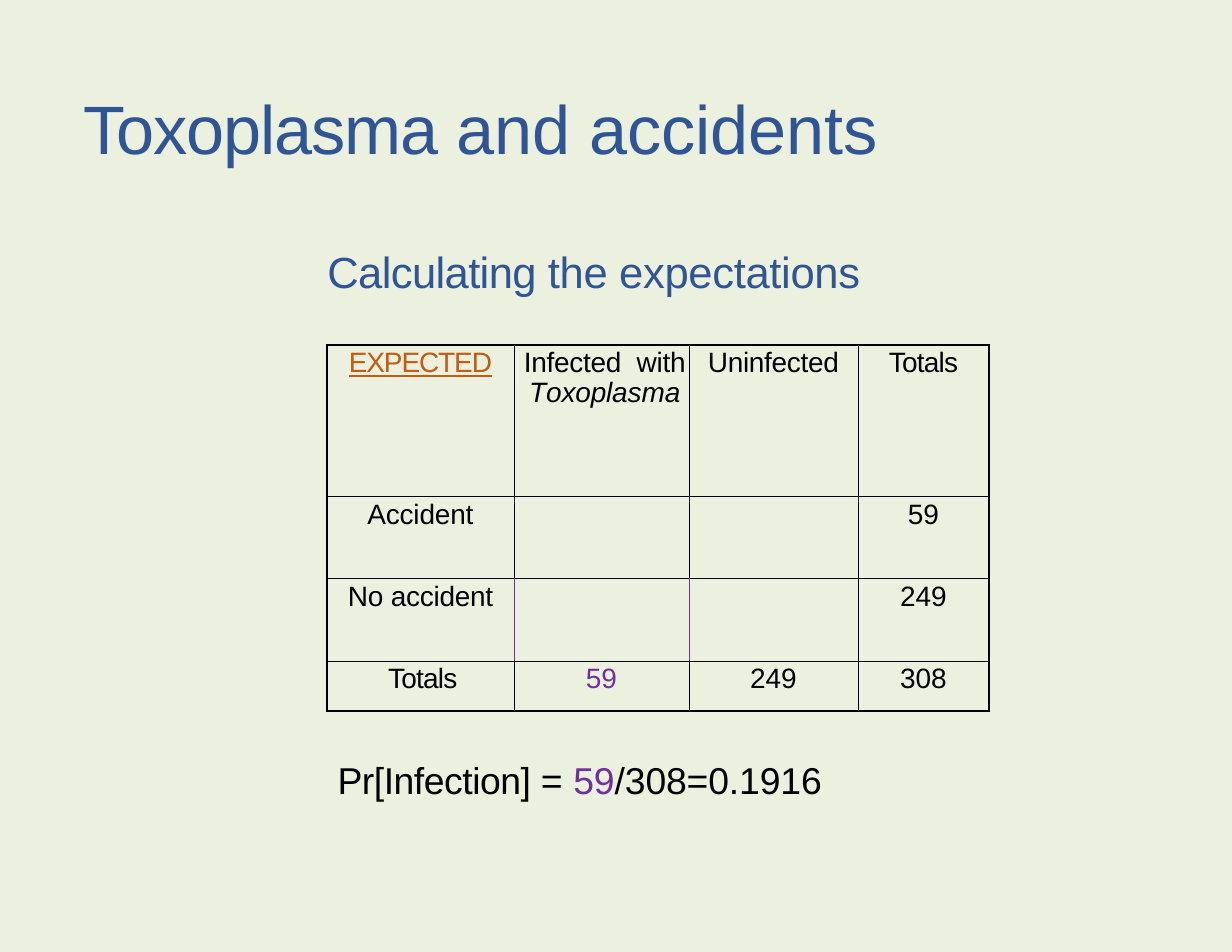
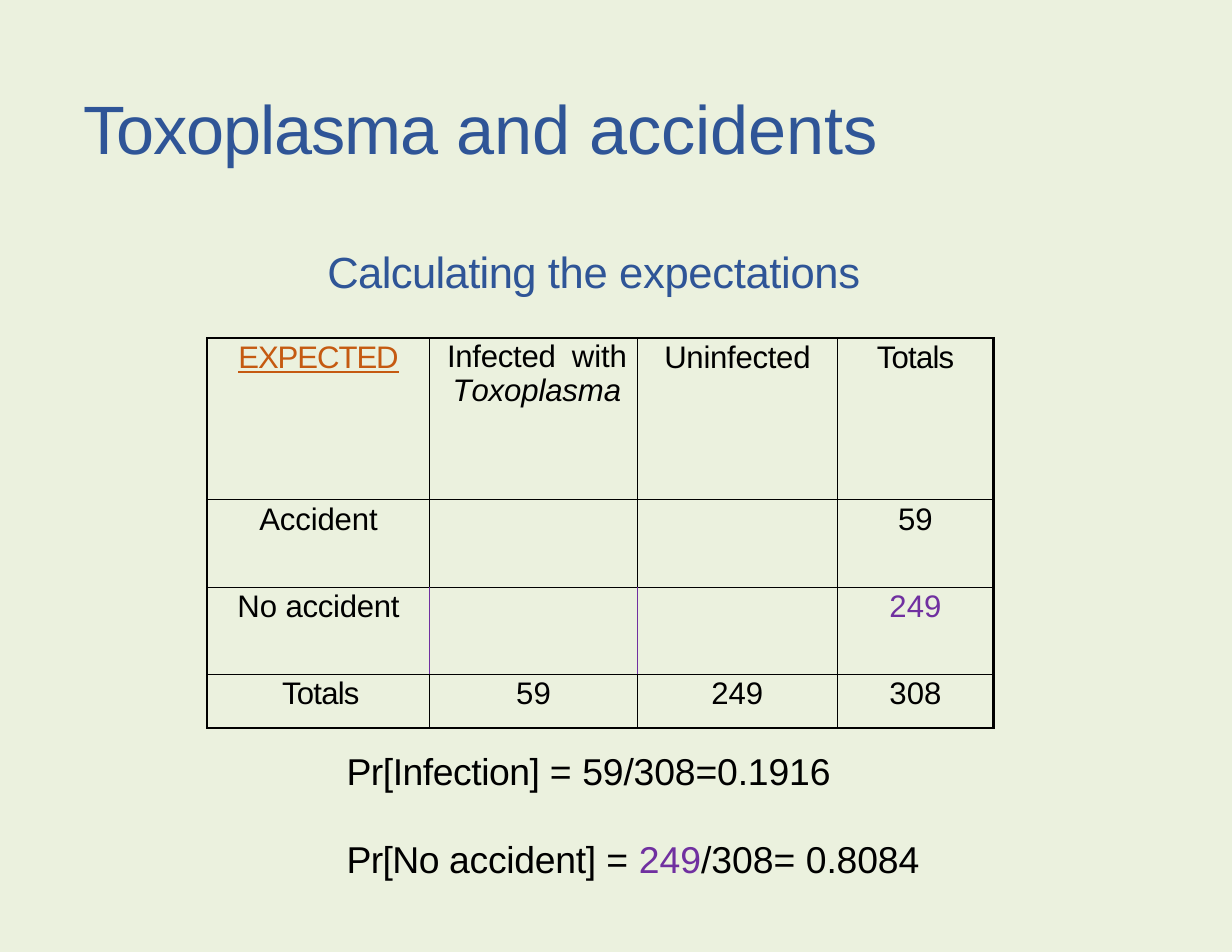
from lxml import etree
from pptx import Presentation
from pptx.dml.color import RGBColor
from pptx.enum import text
from pptx.oxml import ns
from pptx.util import Pt

COLORS = {"bg": "EBF1DE", "ink": "000000", "title": "2F5597",
          "label": "C55A11", "mark": "7030A0"}
FONT = "Arial"
THIN, THICK = 0.5, 1.5
CENTER = text.PP_ALIGN.CENTER

TITLE = [("Toxoplasma ", -0.7), ("and ", -0.2), ("accidents", -0.1)]
SUBTITLE = [("Calculating ", -0.4), ("the expectations", -0.2)]
INFECTED = [("Infected", -0.2), (" ", 4.8), ("with ", -0.1),
            ("T", -1.2, {"italic": True}), ("oxoplas", -0.1, {"italic": True}),
            ("m", -0.2, {"italic": True}), ("a", 0, {"italic": True})]
HEADER = [[("EXPECTED", -0.7, {"color": "label", "underline": True})], INFECTED,
          [("Uninfected", -0.2)], [("Totals", -0.5)]]


def rgb(name):
    """Return the named palette colour."""
    return RGBColor.from_string(COLORS[name])


def add_runs(p, runs, size, color="ink"):
    """Write (text, spacing, format) runs into a paragraph."""
    for words, spacing, *extra in runs:
        r = p.add_run()
        r.text = words
        fmt = {"name": FONT, "size": Pt(size), "color": color, **(extra[0] if extra else {})}
        r.font.color.rgb = rgb(fmt.pop("color"))
        for key, value in fmt.items():
            setattr(r.font, key, value)
        r._r.get_or_add_rPr().set("spc", str(round(spacing * 100)))


def format_paragraph(p, indent=0, **fmt):
    """Set paragraph attributes and the left indent."""
    for key, value in fmt.items():
        setattr(p, key, value)
    if indent:
        p._p.get_or_add_pPr().set("marL", str(Pt(indent)))


def add_text(slide, box, paragraphs, size, color="ink", align=None, befores=(1.4,), top=1.4):
    """Add a text box with one entry of runs per paragraph."""
    sp = slide.shapes.add_textbox(*map(Pt, box))
    tf = sp.text_frame
    frame = {"word_wrap": True, "auto_size": text.MSO_AUTO_SIZE.SHAPE_TO_FIT_TEXT,
             "margin_left": 0, "margin_top": Pt(top), "margin_right": 0, "margin_bottom": 0}
    for key, value in frame.items():
        setattr(tf, key, value)
    for i, (runs, before) in enumerate(zip(paragraphs, befores)):
        p = tf.add_paragraph() if i else tf.paragraphs[0]
        format_paragraph(p, indent=1, alignment=align, space_before=Pt(before))
        add_runs(p, runs, size, color)


def set_border(cell, side, width, color):
    """Draw one side (L, R, T or B) of a cell."""
    ln = etree.SubElement(cell._tc.get_or_add_tcPr(), ns.qn(f"a:ln{side}"), w=str(Pt(width)))
    fill = etree.SubElement(ln, ns.qn("a:solidFill"))
    etree.SubElement(fill, ns.qn("a:srgbClr"), val=COLORS[color])


def style_cell(cell, row, col, last_row, last_col):
    """Give a cell its borders, margins and empty fill."""
    no_accident = row == last_row - 1
    sides = {"L": (col == 0, no_accident and col in (1, 2)),
             "R": (col == last_col, no_accident and col in (0, 1)),
             "T": (row == 0, False),
             "B": (row == last_row, False)}
    for side, (outer, marked) in sides.items():
        set_border(cell, side, THICK if outer else THIN, "mark" if marked else "ink")
    margins = {"margin_left": 0, "margin_top": Pt(1.6), "margin_right": 0, "margin_bottom": 0}
    for key, value in margins.items():
        setattr(cell, key, value)
    cell.fill.background()


def add_expected_table(slide, corner, cols, rows, size, marked):
    """Add the table of expected counts with one total highlighted."""
    def total(value, cell):
        return [(value, 0, {"color": "mark" if cell == marked else "ink"})]

    body = [[[("Accident", -0.1)], [], [], total("59", (1, 3))],
            [[("No ", -0.1), ("accident", -0.2)], [], [], total("249", (2, 3))],
            [[("Totals", -0.5)], total("59", (3, 1)), total("249", (3, 2)),
             total("308", (3, 3))]]
    tbl = slide.shapes.add_table(len(rows), len(cols), *map(Pt, (*corner, sum(cols), sum(rows)))).table
    tbl.first_row = tbl.horz_banding = False
    for column, width in zip(tbl.columns, cols):
        column.width = Pt(width)
    for row, height in zip(tbl.rows, rows):
        row.height = Pt(height)
    for i, line in enumerate([HEADER, *body]):
        for j, runs in enumerate(line):
            cell = tbl.cell(i, j)
            style_cell(cell, i, j, len(rows) - 1, len(cols) - 1)
            p = cell.text_frame.paragraphs[0]
            format_paragraph(p, alignment=CENTER, space_before=Pt(1.6 if i else 1.4))
            if runs is INFECTED:
                format_paragraph(p, indent=4.3, line_spacing=0.98, space_before=Pt(1.8))
            elif (i, j) == (3, 0):
                format_paragraph(p, indent=2.9)
            add_runs(p, runs, size)


def add_slide(prs):
    """Add a slide with the shared background, title and subtitle."""
    slide = prs.slides.add_slide(prs.slide_layouts[6])
    slide.background.fill.solid()
    slide.background.fill.fore_color.rgb = rgb("bg")
    add_text(slide, (52.6, 54, 625, 54.7), [TITLE], 44, "title")
    add_text(slide, (192.2, 156.2, 378, 35.3), [SUBTITLE], 28, "title", CENTER)
    return slide


def infection(color):
    """Return the infection probability with its count coloured."""
    return [("Pr[Infection] ", -0.3), ("= ", 0.1), ("59", -0.1, {"color": color}),
            ("/308=0.1916", -0.1)]


def main():
    """Build both slides."""
    prs = Presentation()
    prs.slide_width, prs.slide_height = Pt(792), Pt(612)

    slide = add_slide(prs)
    add_expected_table(slide, (210.2, 221.8), (120.2, 112.5, 108.7, 84.2),
                       (97.2, 53, 53, 32.4), 18, (3, 1))
    add_text(slide, (216, 486, 378, 30.2), [infection("mark")], 24, befores=(0.9,), top=0.7)

    slide = add_slide(prs)
    add_expected_table(slide, (133.2, 217.4), (143.1, 133.4, 128.7, 100.3),
                       (103.7, 56.2, 56.2, 34.6), 20, (2, 3))
    no_accident = [("Pr[No ", -0.4), ("accident] ", -0.2), ("= ", 0.1),
                   ("249", 0, {"color": "mark"}), ("/308= ", 0), ("0.8084", -0.1)]
    add_text(slide, (221.8, 480.2, 414.7, 87.8), [infection("ink"), no_accident], 24,
             befores=(0.9, 28), top=0.7)

    prs.save("out.pptx")


if __name__ == "__main__":
    main()
